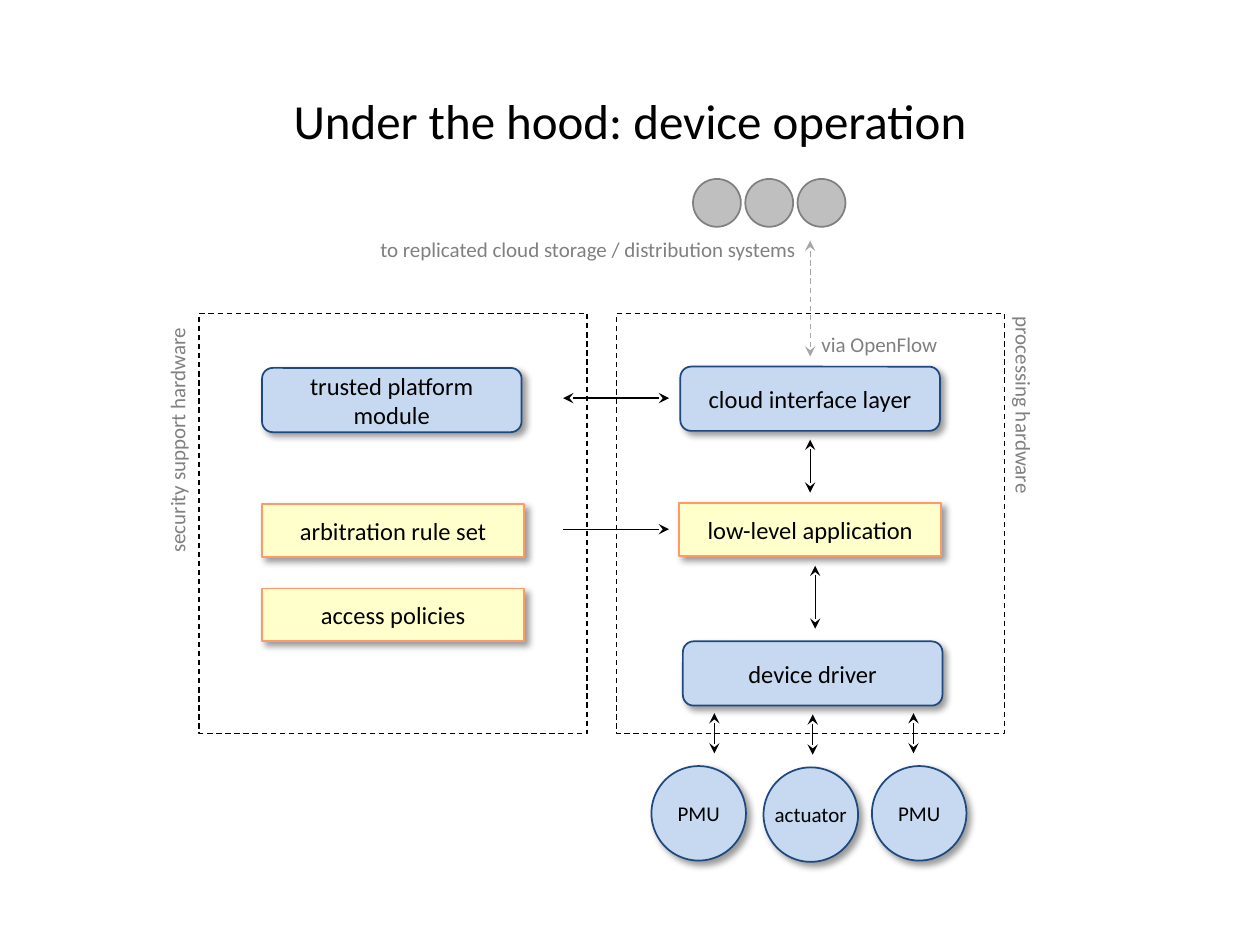
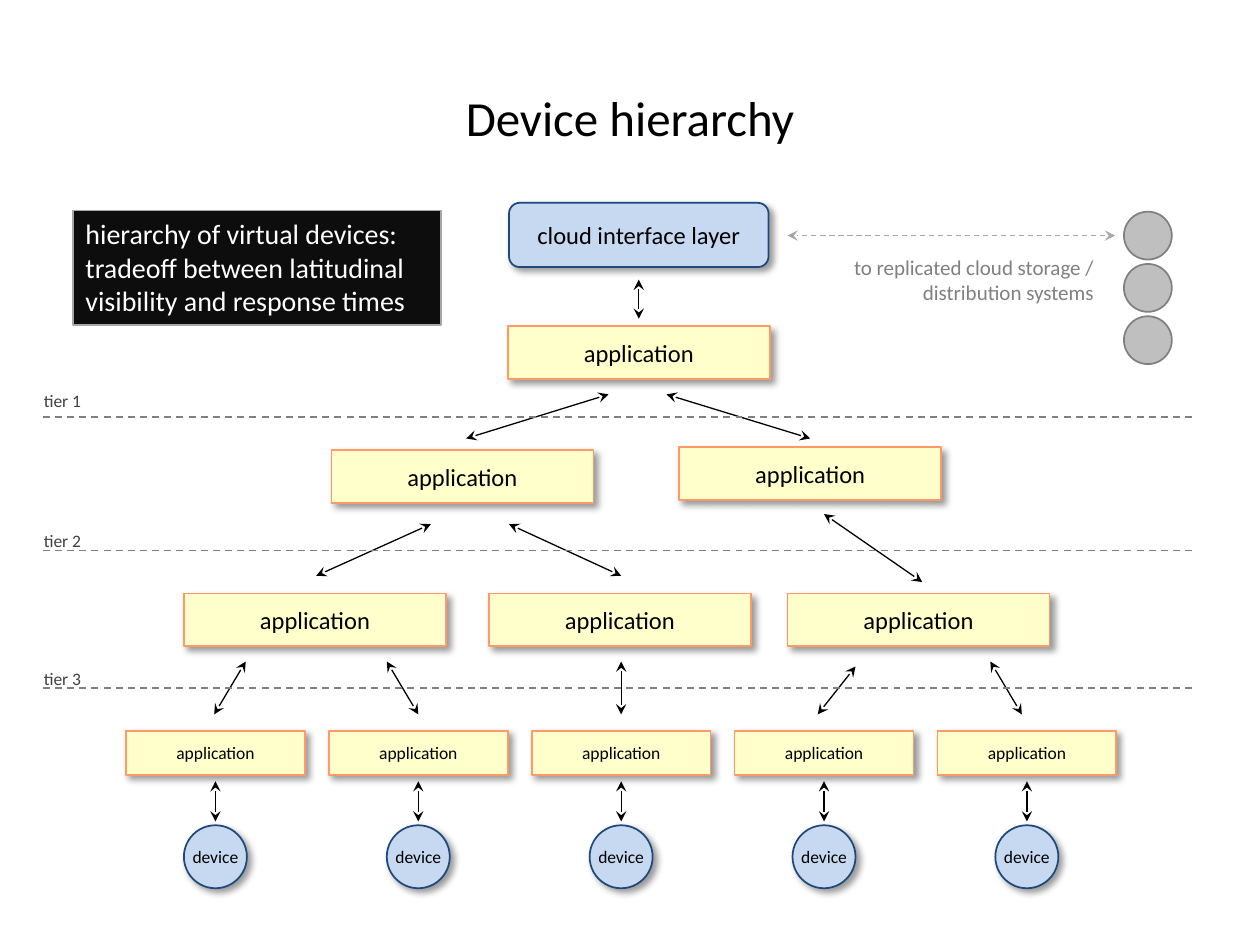
from dataclasses import dataclass
from typing import Any

from lxml import etree
from pptx import Presentation
from pptx import util as u
from pptx.dml.color import RGBColor
from pptx.enum import dml, shapes, text
from pptx.oxml import parse_xml
from pptx.oxml.ns import nsdecls, qn

BLACK = RGBColor(0x00, 0x00, 0x00)
WHITE = RGBColor(0xFF, 0xFF, 0xFF)
NIGHT = RGBColor(0x0D, 0x0D, 0x0D)
CHARCOAL = RGBColor(0x40, 0x40, 0x40)
GRAY = RGBColor(0x80, 0x80, 0x80)
SILVER = RGBColor(0xA6, 0xA6, 0xA6)
CLOUD = RGBColor(0xBF, 0xBF, 0xBF)
PALE_BLUE = RGBColor(0xC6, 0xD9, 0xF1)
NAVY = RGBColor(0x1F, 0x49, 0x7D)
CREAM = RGBColor(0xFF, 0xFF, 0xCC)
ORANGE = RGBColor(0xFF, 0x99, 0x66)

FONT = "Calibri"
KIND = shapes.MSO_SHAPE
ALIGN = text.PP_ALIGN
LAYER = (2.06, 0.51)        # blue platform layers
APPLICATION = (2.08, 0.42)  # cream applications and rules
LEAF = (1.42, 0.35)         # small applications of the last tier
SHADOW = (
    f'<a:effectLst {nsdecls("a")}><a:outerShdw blurRad="50800" dist="38100" '
    'dir="2700000" algn="tl" rotWithShape="0"><a:srgbClr val="000000">'
    '<a:alpha val="40000"/></a:srgbClr></a:outerShdw></a:effectLst>'
)


def write(shape, words, size, color=BLACK, align=ALIGN.CENTER, **frame_format):
    frame = shape.text_frame
    frame_format = {"word_wrap": True, "vertical_anchor": text.MSO_ANCHOR.MIDDLE} | frame_format
    for name, value in frame_format.items():
        setattr(frame, name, value)
    para = frame.paragraphs[0]
    para.text = words
    para.alignment = align
    for span in para.runs:
        for name, value in {"name": FONT, "size": u.Pt(size)}.items():
            setattr(span.font, name, value)
        span.font.color.rgb = color


def outline(line, color, width, dashed=False):
    line.color.rgb = color
    line.width = u.Pt(width)
    if dashed:
        line.dash_style = dml.MSO_LINE.DASH


@dataclass
class Region:
    """Part of a page; positions are inches from its top left corner."""
    page: Any
    left: float = 0
    top: float = 0

    def place(self, x, y):
        return u.Inches(self.left + x), u.Inches(self.top + y)

    def shape(self, kind, x, y, size, fill, line, width=1, dashed=False, shadow=False):
        shape = self.page.shapes.add_shape(kind, *self.place(x, y), *map(u.Inches, size))
        if fill is None:
            shape.fill.background()
        else:
            shape.fill.solid()
            shape.fill.fore_color.rgb = fill
        outline(shape.line, line, width, dashed)
        if shadow:
            shape._element.spPr.append(parse_xml(SHADOW))
        else:
            shape.shadow.inherit = False
        return shape

    def frame(self, size):
        self.shape(KIND.RECTANGLE, 0, 0, size, None, BLACK, 0.75, dashed=True)

    def layer(self, words, x, y):
        box = self.shape(KIND.ROUNDED_RECTANGLE, x, y, LAYER, PALE_BLUE, NAVY, shadow=True)
        write(box, words, 14)

    def application(self, words, x, y, size=APPLICATION, points=14):
        box = self.shape(KIND.RECTANGLE, x, y, size, CREAM, ORANGE, shadow=True)
        write(box, words, points)

    def device(self, words, x, y, diameter, points):
        disc = self.shape(KIND.OVAL, x, y, (diameter, diameter), PALE_BLUE, NAVY, shadow=True)
        write(disc, words, points, word_wrap=False)

    def label(self, words, x, y, size, color=GRAY, points=12, align=ALIGN.LEFT, rotation=0):
        box = self.page.shapes.add_textbox(*self.place(x, y), *map(u.Inches, size))
        box.rotation = rotation
        write(box, words, points, color, align, word_wrap=False,
              vertical_anchor=text.MSO_ANCHOR.TOP,
              auto_size=text.MSO_AUTO_SIZE.SHAPE_TO_FIT_TEXT)

    def line(self, start, end, color=BLACK, width=0.75, dashed=False,
             heads=("headEnd", "tailEnd")):
        line = self.page.shapes.add_connector(
            shapes.MSO_CONNECTOR.STRAIGHT, *self.place(*start), *self.place(*end))
        outline(line.line, color, width, dashed)
        for head in heads:
            etree.SubElement(line.line._get_or_add_ln(), qn(f"a:{head}"), type="stealth")
        etree.SubElement(line._element.spPr, qn("a:effectLst"))

    def storage(self, across, down):
        """Three cloud storage discs at the given step."""
        for index in range(3):
            self.shape(KIND.OVAL, index * across, index * down, (0.38, 0.38), CLOUD, GRAY)


def add_page(deck, title, top):
    page = deck.slides.add_slide(deck.slide_layouts[6])
    box = page.shapes.add_textbox(*map(u.Inches, (0.5, top, 9, 1.25)))
    write(box, title, 28)
    return page


# Device operation

def security_panel(page, left, top):
    panel = Region(page, left, top)
    panel.frame((3.08, 3.33))
    panel.layer("trusted platform module", 0.5, 0.43)
    panel.application("arbitration rule set", 0.5, 1.51)
    panel.application("access policies", 0.5, 2.18)
    panel.label("security support hardware", -1.17, 0.85, (1.99, 0.3), rotation=270)
    # Links to the processing side
    panel.line((2.89, 0.67), (3.73, 0.67))
    panel.line((2.89, 1.71), (3.73, 1.71), heads=("tailEnd",))


def processing_panel(page, left, top):
    panel = Region(page, left, top)
    panel.frame((3.08, 3.33))
    panel.layer("cloud interface layer", 0.51, 0.42)
    panel.application("low-level application", 0.5, 1.5)
    panel.layer("device driver", 0.53, 2.6)
    panel.line((1.54, 1.42), (1.54, 1))
    panel.line((1.58, 2.5), (1.58, 2))
    panel.label("processing hardware", 2.43, 0.58, (1.61, 0.3), rotation=90)


def cloud_uplink(page, left, top):
    uplink = Region(page, left, top)
    uplink.storage(across=0.415, down=0)
    uplink.line((0.93, 1.41), (0.93, 0.49), SILVER, dashed=True)
    uplink.label("to replicated cloud storage / distribution systems", -2.58, 0.41, (3.53, 0.3))
    uplink.label("via OpenFlow", 0.92, 1.16, (1.12, 0.3))


def field_devices(page, left, top):
    field = Region(page, left, top)
    # Name, disc position, arrow position
    for words, x, y, arrow_x in (("PMU", 0, 0, 0.5), ("actuator", 0.89, 0.01, 1.28),
                                 ("PMU", 1.75, 0, 2.08)):
        field.device(words, x, y, 0.75, 12)
        field.line((arrow_x, y - 0.1), (arrow_x, y - 0.42))


# Device hierarchy

def cloud_tier(page, left, top):
    tier = Region(page, left, top)
    tier.layer("cloud interface layer", 0, 0)
    tier.line((1.03, 0.92), (1.03, 0.61))
    tier.line((4.81, 0.26), (2.21, 0.26), SILVER, dashed=True)
    tier.label("to replicated cloud storage /\vdistribution systems", 2.62, 0.36,
               (2.12, 0.51), align=ALIGN.RIGHT)
    Region(page, left + 4.88, top + 0.07).storage(across=0, down=0.415)


def application_tree(page, left, top):
    tree = Region(page, left, top)
    for x, y in ((2.57, 0), (1.17, 0.98), (3.93, 0.96),
                 (0, 2.12), (2.42, 2.12), (4.79, 2.12)):
        tree.application("application", x, y)
    # Lower end, upper end
    for lower, upper in (
        ((2.24, 0.89), (3.37, 0.54)), ((4.97, 0.89), (3.83, 0.54)),
        ((1.05, 1.98), (1.96, 1.57)), ((3.47, 1.98), (2.58, 1.57)),
        ((5.86, 2.03), (5.08, 1.49)),
        ((0.24, 3.08), (0.49, 2.66)), ((1.86, 3.08), (1.61, 2.66)),
        ((3.47, 3.08), (3.47, 2.66)),
        ((5.03, 3.08), (5.33, 2.7)), ((6.65, 3.08), (6.4, 2.66)),
    ):
        tree.line(lower, upper)


def leaf_row(page, left, top, count=5, step=1.61):
    for index in range(count):
        leaf = Region(page, left + index * step, top)
        leaf.application("application", 0, 0, LEAF, 10)
        leaf.line((0.71, 0.72), (0.71, 0.4))
        leaf.device("device", 0.46, 0.75, 0.5, 10)


def tier_lines(page, left, width):
    for number, (line_top, label_top) in enumerate(
            ((3.31, 3.05), (4.37, 4.16), (5.46, 5.25)), 1):
        tier = Region(page, left)
        tier.line((0, line_top), (width, line_top), GRAY, 1, dashed=True, heads=())
        tier.label(f"tier {number}", -0.09, label_top, (0.5, 0.27), CHARCOAL, 10)


def summary(page, left, top):
    box = Region(page, left, top).shape(
        KIND.RECTANGLE, 0, 0, (2.92, 0.91), NIGHT, SILVER, 0.75)
    write(box, "hierarchy of virtual devices:\vtradeoff between latitudinal "
          "visibility and response times", 16, WHITE, ALIGN.LEFT,
          vertical_anchor=text.MSO_ANCHOR.TOP)


deck = Presentation()
deck.slide_width, deck.slide_height = u.Inches(10), u.Inches(7.5)

operation = add_page(deck, "Under the hood: device operation", 0.33)
security_panel(operation, 1.58, 2.49)
processing_panel(operation, 4.89, 2.49)
cloud_uplink(operation, 5.5, 1.42)
field_devices(operation, 5.17, 6.08)

hierarchy = add_page(deck, "Device hierarchy", 0.3)
cloud_tier(hierarchy, 4.04, 1.61)
application_tree(hierarchy, 1.46, 2.59)
leaf_row(hierarchy, 1, 5.8)
tier_lines(hierarchy, 0.34, 9.16)
summary(hierarchy, 0.58, 1.67)

deck.save("out.pptx")
